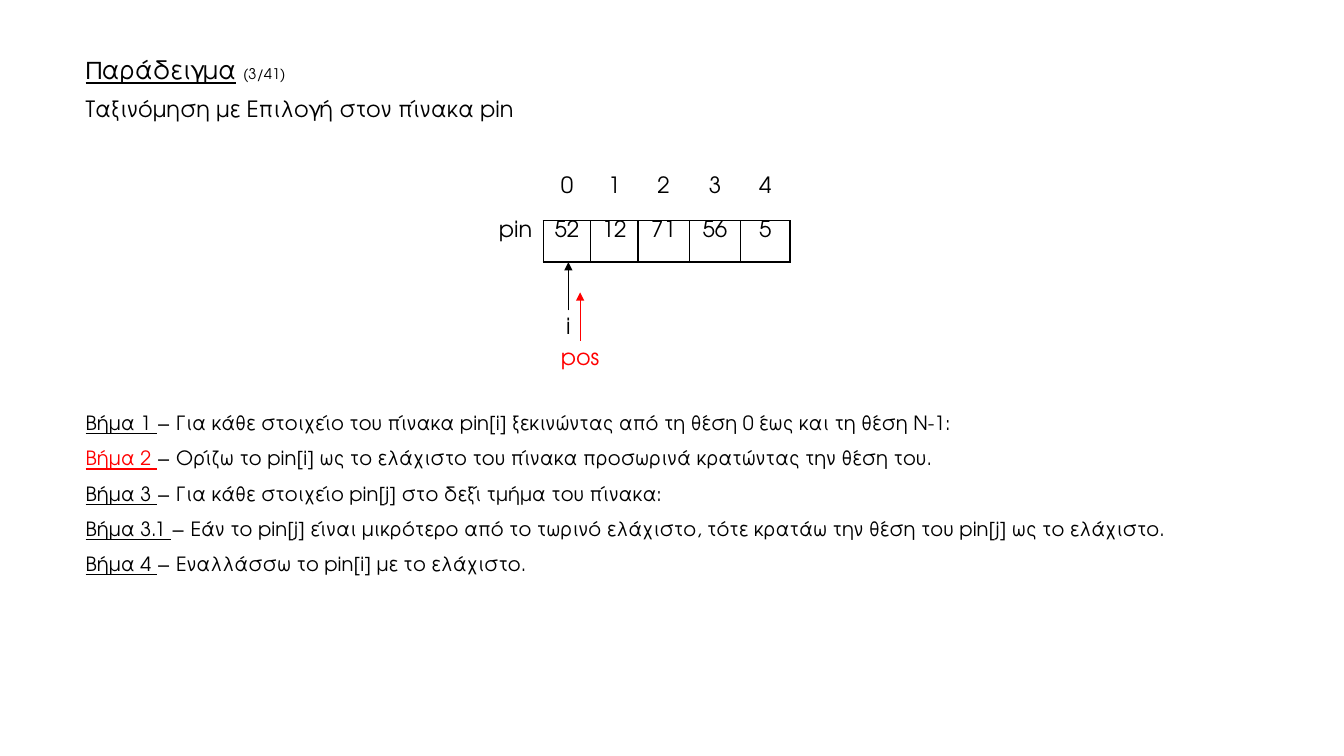
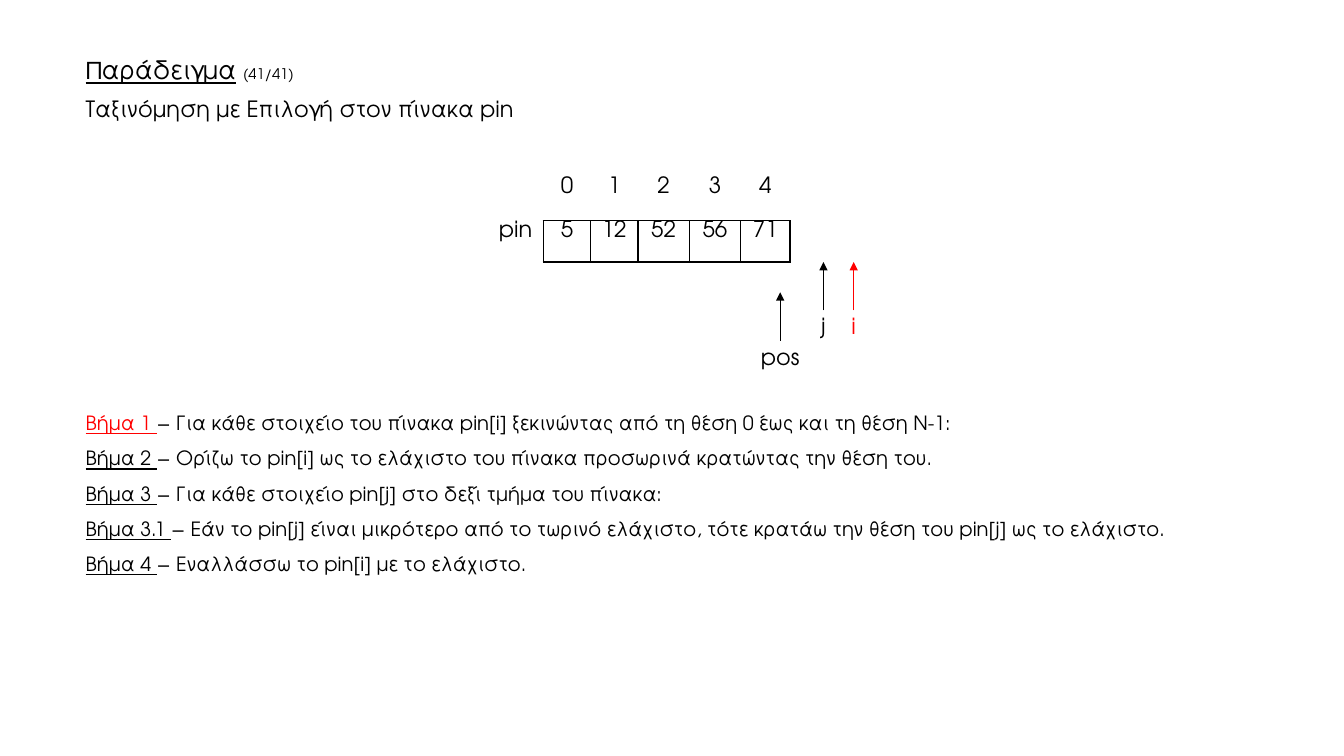
from itertools import accumulate

from lxml import etree
from pptx import Presentation
from pptx.dml.color import RGBColor
from pptx.enum.shapes import MSO_CONNECTOR
from pptx.enum.text import MSO_ANCHOR, MSO_AUTO_SIZE, PP_ALIGN
from pptx.oxml.ns import qn
from pptx.util import Pt

COLORS = {"text": "000000", "active": "FF0000"}
FONT = "TeX Gyre Adventor"
NO_TABLE_STYLE = "{2D5ABB26-0587-4C30-8999-92F81FD0307C}"

TITLE = "Παράδειγμα"
SUBTITLE = "Ταξινόμηση με Επιλογή στον πίνακα pin"
STEPS = [
    ("Βήμα 1 ", "− Για κάθε στοιχείο του πίνακα pin[i] ξεκινώντας από τη θέση 0 έως και τη θέση Ν-1:"),
    ("Βήμα 2 ", "− Ορίζω το pin[i] ως το ελάχιστο του πίνακα προσωρινά κρατώντας την θέση του."),
    ("Βήμα 3 ", "− Για κάθε στοιχείο pin[j] στο δεξί τμήμα του πίνακα:"),
    ("Βήμα 3.1 ", "− Εάν το pin[j] είναι μικρότερο από το τωρινό ελάχιστο, τότε κρατάω την θέση του pin[j] ως το ελάχιστο."),
    ("Βήμα 4 ", "− Εναλλάσσω το pin[i] με το ελάχιστο."),
]
# Pointers: label, x of the arrow, level below the array, colour
SLIDES = [
    {
        "counter": "(3/41)",
        "values": [52, 12, 71, 56, 5],
        "pointers": [("i", 406, 0, "text"), ("pos", 414.4, 1, "active")],
        "active_step": 1,
    },
    {
        "counter": "(41/41)",
        "values": [5, 12, 52, 56, 71],
        "pointers": [("i", 609.8, 0, "active"), ("pos", 557.3, 1, "text"), ("j", 588.2, 0, "text")],
        "active_step": 0,
    },
]

LEFT = 54
TITLE_BOX = (LEFT, 37.4, 776.9, 55.4)
STEPS_BOX = (LEFT, 281.5, 830.2, 131)
TABLE_LEFT, TABLE_TOP = 348.5, 126.7
COLUMN_WIDTHS = [39.6, 33.8, 33.8, 36.7, 36.7, 35.3]
ROW_HEIGHTS = [31, 29.5]
ARROW_LENGTH, LEVEL_STEP = 34.6, 21.6
LABEL_WIDTH, LABEL_HEIGHT = 70.6, 25.9


def points(*lengths):
    return [Pt(length) for length in lengths]


def add_run(paragraph, text, size, color="text", underline=False):
    run = paragraph.add_run()
    run.text = text
    run.font.name = FONT
    run.font.size = Pt(size)
    run.font.underline = underline
    run.font.color.rgb = RGBColor.from_string(COLORS[color])


def place(shape, box):
    """Moves a placeholder and clears its inherited anchor and text fitting."""
    shape.left, shape.top, shape.width, shape.height = points(*box)
    frame = shape.text_frame
    frame.word_wrap = True
    frame.auto_size = MSO_AUTO_SIZE.NONE
    frame.vertical_anchor = MSO_ANCHOR.TOP
    return frame


def format_paragraph(paragraph, line_spacing, space_before=0, align=PP_ALIGN.LEFT):
    paragraph.line_spacing = line_spacing
    paragraph.space_before = Pt(space_before)
    paragraph.alignment = align


def add_title(slide, counter):
    frame = place(slide.shapes.title, TITLE_BOX)
    heading, subtitle = frame.paragraphs[0], frame.add_paragraph()
    format_paragraph(heading, 0.9)
    format_paragraph(subtitle, 0.9, space_before=10)
    add_run(heading, TITLE, 18, underline=True)
    add_run(heading, " ", 18)
    add_run(heading, counter, 10.5)
    add_run(subtitle, SUBTITLE, 16)


def add_steps(slide, active_step):
    frame = place(slide.placeholders[1], STEPS_BOX)
    for index, (name, description) in enumerate(STEPS):
        paragraph = frame.add_paragraph() if index else frame.paragraphs[0]
        format_paragraph(paragraph, 1.5)
        properties = paragraph._p.get_or_add_pPr()
        properties.set("marL", "0")
        properties.set("indent", "0")
        etree.SubElement(properties, qn("a:buNone"))
        add_run(paragraph, name, 14, "active" if index == active_step else "text", underline=True)
        add_run(paragraph, description, 14)


def add_borders(cell, sides):
    properties = cell._tc.get_or_add_tcPr()
    for position, side in enumerate(sides):
        line = etree.Element(qn(f"a:ln{side}"), w=str(Pt(1)))
        fill = etree.SubElement(line, qn("a:solidFill"))
        etree.SubElement(fill, qn("a:srgbClr"), val=COLORS["text"])
        properties.insert(position, line)


def add_array(slide, values):
    rows = [["", *range(len(values))], ["pin", *values]]
    frame = slide.shapes.add_table(
        len(rows), len(COLUMN_WIDTHS),
        *points(TABLE_LEFT, TABLE_TOP, sum(COLUMN_WIDTHS), sum(ROW_HEIGHTS)))
    table = frame.table
    table.first_row = table.horz_banding = False
    table._tbl.tblPr.find(qn("a:tableStyleId")).text = NO_TABLE_STYLE
    for column, width in zip(table.columns, COLUMN_WIDTHS):
        column.width = Pt(width)
    for row, height in zip(table.rows, ROW_HEIGHTS):
        row.height = Pt(height)
    for row_index, row in enumerate(rows):
        for column_index, value in enumerate(row):
            cell = table.cell(row_index, column_index)
            cell.margin_left = cell.margin_right = cell.margin_top = cell.margin_bottom = 0
            cell.fill.background()
            paragraph = cell.text_frame.paragraphs[0]
            paragraph.alignment = PP_ALIGN.CENTER
            paragraph.font.size = Pt(16)
            if value != "":
                add_run(paragraph, str(value), 16)
            if row_index and column_index:
                add_borders(cell, "LRTB")


def add_pointer(slide, label, x, level, color):
    tip = list(accumulate(ROW_HEIGHTS, initial=TABLE_TOP))[-1] + level * LEVEL_STEP
    tail = tip + ARROW_LENGTH
    box = slide.shapes.add_textbox(*points(x - LABEL_WIDTH / 2, tail, LABEL_WIDTH, LABEL_HEIGHT))
    box.text_frame.word_wrap = True
    paragraph = box.text_frame.paragraphs[0]
    format_paragraph(paragraph, 0.9, align=PP_ALIGN.CENTER)
    add_run(paragraph, label, 16, color)

    arrow = slide.shapes.add_connector(MSO_CONNECTOR.STRAIGHT, *points(x, tail, x, tip))
    arrow.line.width = Pt(0.5)
    arrow.line.color.rgb = RGBColor.from_string(COLORS[color])
    etree.SubElement(arrow.line._get_or_add_ln(), qn("a:tailEnd"), type="triangle")
    etree.SubElement(arrow._element.spPr, qn("a:effectLst"))


def main():
    presentation = Presentation()
    presentation.slide_width, presentation.slide_height = points(960, 540)
    for content in SLIDES:
        slide = presentation.slides.add_slide(presentation.slide_layouts[1])
        add_title(slide, content["counter"])
        add_array(slide, content["values"])
        for pointer in content["pointers"]:
            add_pointer(slide, *pointer)
        add_steps(slide, content["active_step"])
    presentation.save("out.pptx")


if __name__ == "__main__":
    main()
